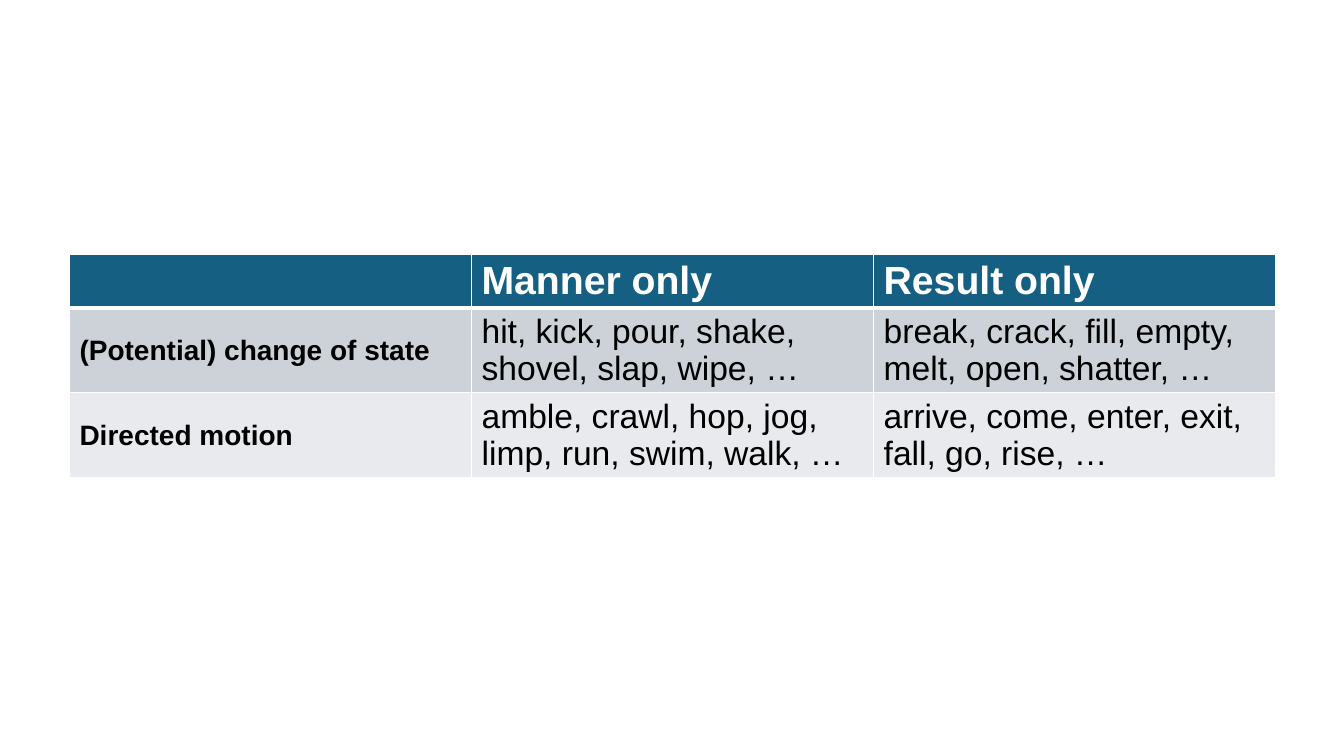
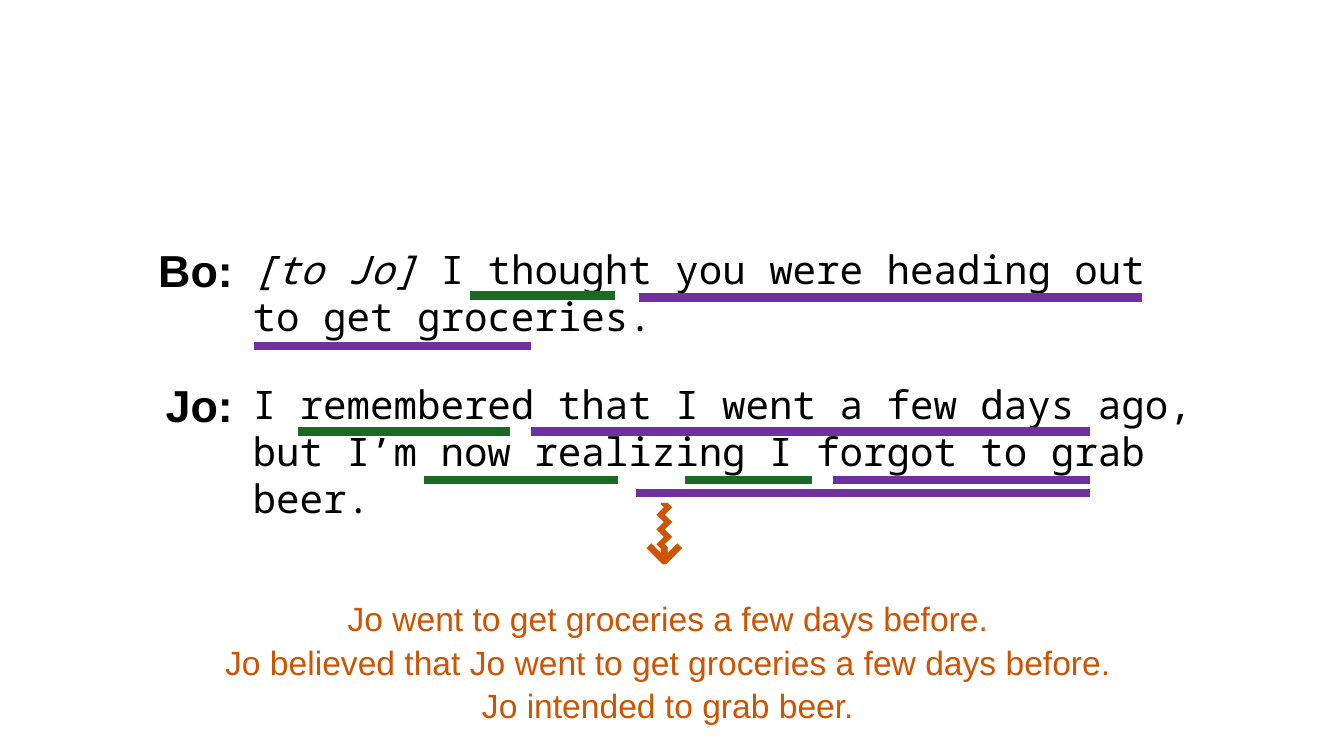
from lxml.etree import SubElement
from pptx import Presentation
from pptx.dml.color import RGBColor
from pptx.enum.shapes import MSO_CONNECTOR
from pptx.enum.text import MSO_ANCHOR, PP_ALIGN
from pptx.oxml.ns import qn
from pptx.util import Cm, Pt

SANS, MONO = "Arial", "Noto Sans Mono"
BLACK, WHITE = "000000", "FFFFFF"
HEADER_FILL, ROW_FILLS = "156082", ("CCD2D8", "E8EAED")
GREEN, PURPLE, ORANGE = "196B24", "7030A0", "CD5400"

VERB_ROWS = [
    ("", "Manner only", "Result only"),
    ("(Potential) change of state",
     "hit, kick, pour, shake, shovel, slap, wipe, …",
     "break, crack, fill, empty, melt, open, shatter, …"),
    ("Directed motion",
     "amble, crawl, hop, jog, limp, run, swim, walk, …",
     "arrive, come, enter, exit, fall, go, rise, …"),
]
ROW_HEIGHTS = (1.34, 2.13, 2.13)

# Underlines: colour, height, start and end, in cm from the corner of the utterance.
BO_UNDERLINES = [
    (GREEN, 1.4, 5.72, 9.37),
    (PURPLE, 1.45, 9.98, 22.66),
    (PURPLE, 2.67, 0.28, 7.26),
]
JO_UNDERLINES = [
    (GREEN, 1.42, 1.4, 6.73),
    (PURPLE, 1.42, 7.26, 21.34),
    (GREEN, 2.64, 4.57, 9.45),
    (GREEN, 2.64, 11.15, 14.35),
    (PURPLE, 2.64, 14.88, 21.34),
    (PURPLE, 2.97, 9.91, 21.34),
]
CONCLUSIONS = [
    "Jo went to get groceries a few days before.",
    "Jo believed that Jo went to get groceries a few days before.",
    "Jo intended to grab beer.",
]


def rgb(color):
    return RGBColor.from_string(color)


def add_run(paragraph, text, size, font=SANS, color=BLACK, bold=False, italic=False):
    run = paragraph.add_run()
    run.text = text
    run.font.name = font
    run.font.size = Pt(size)
    run.font.bold = bold
    run.font.italic = italic
    run.font.color.rgb = rgb(color)


def add_text_box(slide, left, top, width, height, align=PP_ALIGN.LEFT, wrap=True):
    """Add an empty text box and return it with its first paragraph."""
    box = slide.shapes.add_textbox(Cm(left), Cm(top), Cm(width), Cm(height))
    box.text_frame.word_wrap = wrap
    paragraph = box.text_frame.paragraphs[0]
    paragraph.alignment = align
    return box, paragraph


def set_borders(cell, bottom_width):
    properties = cell._tc.get_or_add_tcPr()
    for side, width in (("L", 1), ("R", 1), ("T", 1), ("B", bottom_width)):
        line = SubElement(properties, qn(f"a:ln{side}"), w=str(Pt(width)))
        SubElement(SubElement(line, qn("a:solidFill")), qn("a:srgbClr"), val=WHITE)


def add_verb_table(slide, left, top, width):
    column_count = len(VERB_ROWS[0])
    table = slide.shapes.add_table(
        len(VERB_ROWS), column_count, Cm(left), Cm(top), Cm(width), Cm(sum(ROW_HEIGHTS))
    ).table
    for column in table.columns:
        column.width = Cm(width / column_count)
    for row_index, texts in enumerate(VERB_ROWS):
        table.rows[row_index].height = Cm(ROW_HEIGHTS[row_index])
        is_header = row_index == 0
        fill = HEADER_FILL if is_header else ROW_FILLS[row_index - 1]
        for column_index, text in enumerate(texts):
            cell = table.cell(row_index, column_index)
            set_borders(cell, 3 if is_header else 1)
            cell.fill.solid()
            cell.fill.fore_color.rgb = rgb(fill)
            is_label = column_index == 0
            if is_label:
                cell.vertical_anchor = MSO_ANCHOR.MIDDLE
            if text:
                size = 28 if is_header else 20 if is_label else 24
                add_run(cell.text_frame.paragraphs[0], text, size,
                        color=WHITE if is_header else BLACK, bold=is_header or is_label)


def add_underline(slide, color, top, start, end):
    line = slide.shapes.add_connector(
        MSO_CONNECTOR.STRAIGHT, Cm(start), Cm(top), Cm(end), Cm(top))
    line.line.color.rgb = rgb(color)
    line.line.width = Pt(6)
    SubElement(line._element.spPr, qn("a:effectLst"))


def add_utterance(slide, left, top, speaker, runs, underlines):
    """Place the utterance at left and top, with its speaker's name to the left."""
    label_width = 3
    _, label = add_text_box(
        slide, left - label_width, top - 0.06, label_width, 1.63, PP_ALIGN.RIGHT)
    add_run(label, speaker, 32, bold=True)
    _, speech = add_text_box(slide, left, top, 24.5, 2.65)
    for text, italic in runs:
        add_run(speech, text, 28, MONO, italic=italic)
    for color, offset, start, end in underlines:
        add_underline(slide, color, top + offset, left + start, left + end)


def add_conclusions(slide, left, top, width):
    pitch = 1.1
    for index, text in enumerate(CONCLUSIONS):
        _, paragraph = add_text_box(
            slide, left, top + index * pitch, width, 1.27, PP_ALIGN.CENTER)
        add_run(paragraph, text, 24, color=ORANGE)


def add_squiggle_arrow(slide, left, top):
    box, paragraph = add_text_box(slide, left, top, 2.62, 2.82, wrap=False)
    box.rotation = 90
    add_run(paragraph, "⇝", 60, MONO, ORANGE)


def build_table_slide(slide):
    add_verb_table(slide, 1.75, 6.4, 30.4)


def build_dialogue_slide(slide):
    add_utterance(slide, 6.12, 6.05, "Bo:", [
        ("[to Jo]", True),
        (" I thought you were heading out to get groceries.", False),
    ], BO_UNDERLINES)
    add_utterance(slide, 6.12, 9.45, "Jo:", [
        ("I remembered that I went a few days ago, "
         "but I’m now realizing I forgot to grab beer.", False),
    ], JO_UNDERLINES)
    add_squiggle_arrow(slide, 15.62, 12.22)
    add_conclusions(slide, 3.8, 14.94, 26.06)


def main():
    presentation = Presentation()
    presentation.slide_width = Cm(33.87)
    presentation.slide_height = Cm(19.05)
    blank_layout = presentation.slide_layouts[6]
    for build in (build_table_slide, build_dialogue_slide):
        build(presentation.slides.add_slide(blank_layout))
    presentation.save("out.pptx")


if __name__ == "__main__":
    main()
